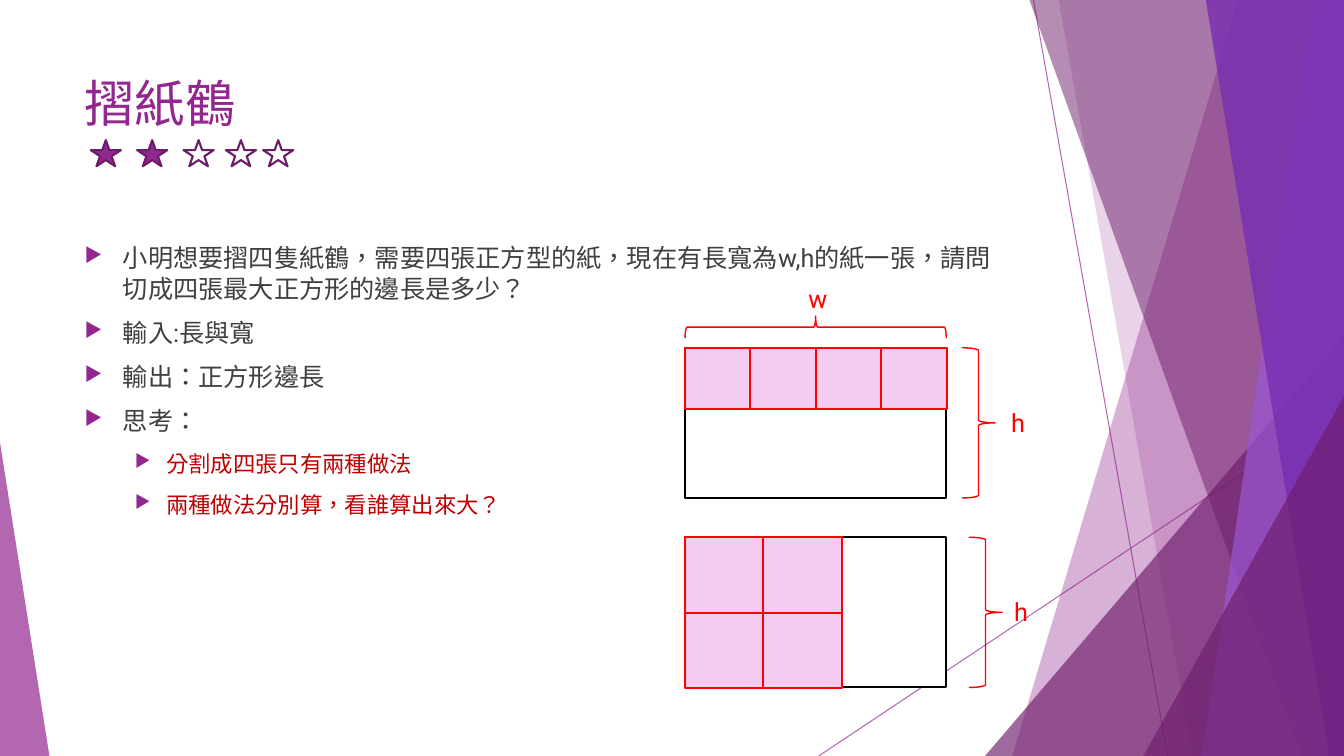
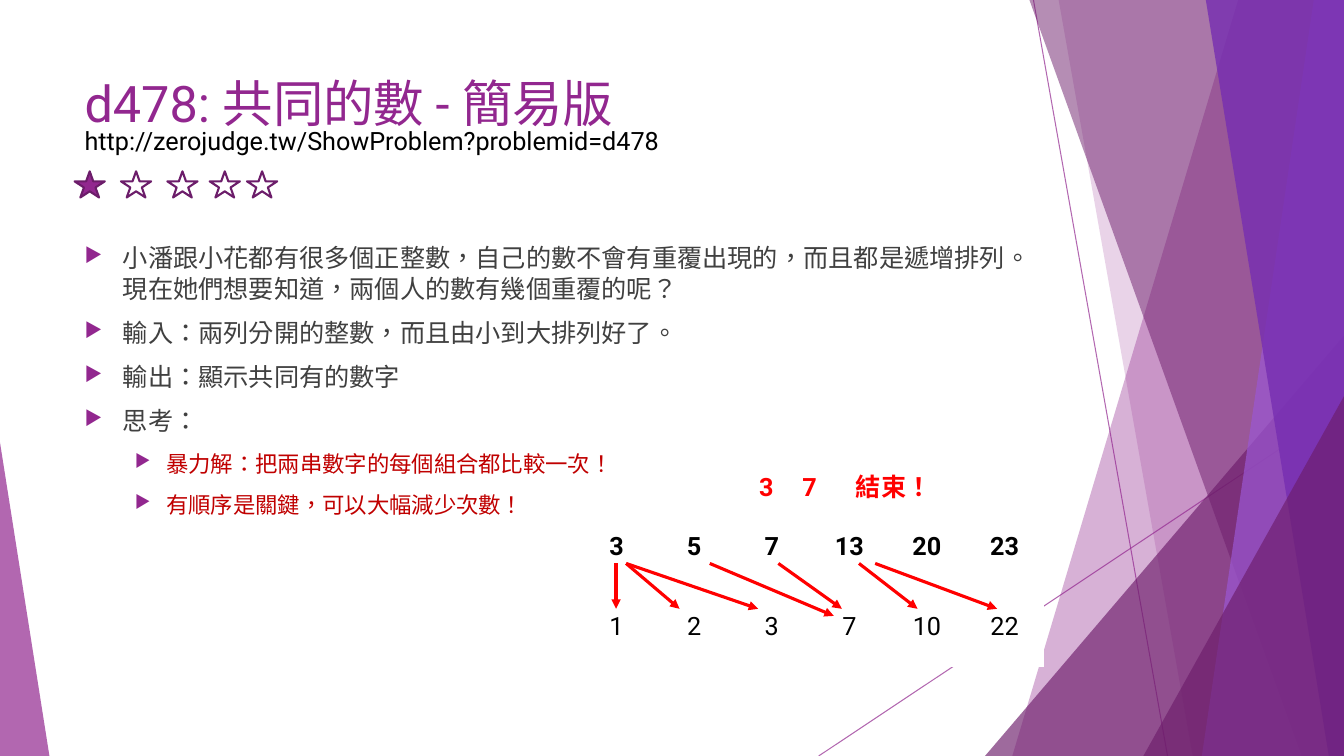
import pptx
import pptx.dml.color
import pptx.enum.lang
import pptx.enum.shapes
import pptx.enum.text
import pptx.oxml
import pptx.oxml.ns
import pptx.util
from pptx.util import Inches

SHAPE = pptx.enum.shapes.MSO_SHAPE
CENTER = pptx.enum.text.PP_ALIGN.CENTER
MIDDLE = pptx.enum.text.MSO_ANCHOR.MIDDLE
CHINESE = pptx.enum.lang.MSO_LANGUAGE_ID.TRADITIONAL_CHINESE
FONT = "Roboto"
PURPLE, DARK, EDGE = "92278F", "6D1D6B", "6C1D6A"
VIOLET, INDIGO, PINK = "9B57D3", "762EB1", "F1CCF0"
RED, CRIMSON, GRAY = "FF0000", "C00000", "404040"
BLACK, WHITE = "000000", "FFFFFF"
WIDTH, HEIGHT = 13.33, 7.5
LEFT, CONTENT_WIDTH = 0.74, 9.4
STAR_OFFSETS = (0, 0.46, 0.92, 1.34, 1.71)


def color(value):
    return pptx.dml.color.RGBColor.from_string(value)


def add_xml(parent, tag, **attributes):
    el = pptx.oxml.parse_xml(f"<a:{tag} {pptx.oxml.ns.nsdecls('a')}/>")
    for name, value in attributes.items():
        el.set(name, str(value))
    parent.append(el)
    return el


def set_alpha(shape, percent):
    for clr in shape._element.spPr.iter(pptx.oxml.ns.qn("a:srgbClr")):
        add_xml(clr, "alpha", val=percent * 1000)


def style_shape(shape, fill=None, line=None, width=1.5):
    shape.shadow.inherit = False
    if fill:
        shape.fill.solid()
        shape.fill.fore_color.rgb = color(fill)
    else:
        shape.fill.background()
    if line:
        shape.line.color.rgb = color(line)
        shape.line.width = pptx.util.Pt(width)
    else:
        shape.line.fill.background()


def add_shape(s, kind, x, y, w, h, **style):
    sp = s.shapes.add_shape(kind, Inches(x), Inches(y), Inches(w), Inches(h))
    style_shape(sp, **style)
    return sp


def add_line(s, start, end, line, width, arrow=False):
    points = [Inches(v) for v in (*start, *end)]
    cx = s.shapes.add_connector(pptx.enum.shapes.MSO_CONNECTOR.STRAIGHT, *points)
    cx.line.color.rgb = color(line)
    cx.line.width = pptx.util.Pt(width)
    if arrow:
        add_xml(cx.line._get_or_add_ln(), "tailEnd", type="triangle")
    add_xml(cx._element.spPr, "effectLst")
    return cx


def add_run(p, text, size, fill, bold=False):
    r = p.add_run()
    r.text = text
    r.font.name = FONT
    r.font.size = pptx.util.Pt(size)
    r.font.bold = bold
    r.font.color.rgb = color(fill)
    r.font.language_id = CHINESE


def add_box(s, x, y, w, h, wrap=True):
    tf = s.shapes.add_textbox(Inches(x), Inches(y), Inches(w), Inches(h)).text_frame
    tf.word_wrap = wrap
    return tf


def add_label(s, text, x, y, w, fill=RED, bold=False):
    tf = add_box(s, x, y, w, 0.4, wrap=False)
    add_run(tf.paragraphs[0], text, 18, fill, bold)


def add_bullet(p, level):
    margin, hanging = ((0.38, 0.38), (0.81, 0.31))[level]
    pPr = p._p.get_or_add_pPr()
    pPr.set("marL", str(Inches(margin)))
    pPr.set("indent", str(-Inches(hanging)))
    add_xml(add_xml(pPr, "buClr"), "srgbClr", val=PURPLE)
    add_xml(pPr, "buSzPct", val=80000)
    add_xml(pPr, "buChar", char="▶")
    p.level = level


def add_body(s, items):
    tf = add_box(s, LEFT, 2.36, CONTENT_WIDTH, 4.24)
    for i, (level, text) in enumerate(items):
        p = tf.add_paragraph() if i else tf.paragraphs[0]
        add_bullet(p, level)
        if i:
            p.space_before = pptx.util.Pt(10)
        add_run(p, text, (18, 16)[level], (GRAY, CRIMSON)[level])


def add_facet(s, top, bottom, fill, alpha):
    points = [(Inches(x), Inches(y)) for x, y in
              ((top, 0), (WIDTH, 0), (WIDTH, HEIGHT), (bottom, HEIGHT))]
    fb = s.shapes.build_freeform(*points[0])
    fb.add_line_segments(points[1:])
    sp = fb.convert_to_shape()
    style_shape(sp, fill)
    set_alpha(sp, alpha)


def add_corner(s, x, y, w, apex, fill, alpha):
    sp = add_shape(s, SHAPE.ISOSCELES_TRIANGLE, x, y, w, HEIGHT - y, fill=fill)
    sp.adjustments[0] = apex
    set_alpha(sp, alpha)


def add_background(s):
    for start, end in (((10.25, 0), (11.58, HEIGHT)), ((WIDTH, 4.03), (8.12, HEIGHT))):
        set_alpha(add_line(s, start, end, PURPLE, 0.75), 70)
    add_facet(s, 12.28, 10.04, PURPLE, 36)
    add_facet(s, 10.5, 11.83, PURPLE, 20)
    add_corner(s, 9.77, 3.33, 3.56, 1, DARK, 66)
    add_facet(s, 10.21, 12.91, DARK, 50)
    add_facet(s, 13.03, 11.92, VIOLET, 70)
    add_facet(s, 11.96, 13.18, INDIGO, 80)
    add_corner(s, 11.34, 3.93, 1.99, 1, DARK, 66)
    add_corner(s, 0, 4.39, 0.49, 0, PURPLE, 70)


def add_slide(prs, title, items):
    s = prs.slides.add_slide(prs.slide_layouts[6])
    add_background(s)
    tf = add_box(s, LEFT, 0.67, CONTENT_WIDTH, 1.44)
    add_run(tf.paragraphs[0], title, 36, PURPLE)
    add_body(s, items)
    return s


def add_rating(s, x, y, score):
    for i, offset in enumerate(STAR_OFFSETS):
        add_shape(s, SHAPE.STAR_5_POINT, x + offset, y, 0.3, 0.26,
                  fill=PURPLE if i < score else None, line=EDGE)


def add_paper(s, y, columns, rows, w, h):
    x = 6.79
    add_shape(s, SHAPE.RECTANGLE, x, y, 2.59, 1.49, fill=WHITE, line=BLACK)
    for column in range(columns):
        for row in range(rows):
            add_shape(s, SHAPE.RECTANGLE, x + column * w, y + row * h, w, h,
                      fill=PINK, line=RED)


def add_brace(s, x, y, w, h, rotation=0):
    sp = add_shape(s, SHAPE.RIGHT_BRACE, x, y, w, h, line=RED, width=1)
    sp.rotation = rotation


def add_number_table(s, rows):
    tbl = s.shapes.add_table(len(rows), len(rows[0]), Inches(5.73), Inches(5.03),
                             Inches(4.62), Inches(1.58)).table
    tbl.first_row = tbl.horz_banding = False
    for i, row in enumerate(rows):
        for j, number in enumerate(row):
            cell = tbl.cell(i, j)
            cell.fill.solid()
            cell.fill.fore_color.rgb = color(WHITE)
            cell.vertical_anchor = MIDDLE
            p = cell.text_frame.paragraphs[0]
            p.alignment = CENTER
            add_run(p, str(number), 18, BLACK, bold=i == 0)


def add_crane_slide(prs):
    s = add_slide(prs, "摺紙鶴", (
        (0, "小明想要摺四隻紙鶴，需要四張正方型的紙，現在有長寬為w,h的紙一張，"
            "請問切成四張最大正方形的邊長是多少？"),
        (0, "輸入:長與寬"),
        (0, "輸出：正方形邊長"),
        (0, "思考："),
        (1, "分割成四張只有兩種做法"),
        (1, "兩種做法分別算，看誰算出來大？")))
    add_paper(s, 3.45, 4, 1, 0.65, 0.61)
    add_paper(s, 5.33, 2, 2, 0.78, 0.75)
    add_brace(s, 9.54, 3.45, 0.33, 1.49)
    add_label(s, "h", 9.93, 3.99, 0.34)
    add_brace(s, 9.61, 5.33, 0.33, 1.49)
    add_label(s, "h", 9.96, 5.87, 0.34)
    add_brace(s, 7.98, 1.95, 0.22, 2.59, rotation=270)
    add_label(s, "w", 7.92, 2.76, 0.39)
    add_rating(s, 0.9, 1.39, 2)


def add_common_numbers_slide(prs):
    s = add_slide(prs, "d478: 共同的數 - 簡易版", (
        (0, "小潘跟小花都有很多個正整數，自己的數不會有重覆出現的，而且都是遞增排列。"
            "現在她們想要知道，兩個人的數有幾個重覆的呢？"),
        (0, "輸入：兩列分開的整數，而且由小到大排列好了。"),
        (0, "輸出：顯示共同有的數字"),
        (0, "思考："),
        (1, "暴力解：把兩串數字的每個組合都比較一次！"),
        (1, "有順序是關鍵，可以大幅減少次數！")))
    add_label(s, "http://zerojudge.tw/ShowProblem?problemid=d478", LEFT, 1.19, 6.1, BLACK)
    add_number_table(s, ((3, 5, 7, 13, 20, 23), (1, 2, 3, 7, 10, 22)))
    for x1, x2, y2 in ((6.11, 6.11, 6.04), (6.21, 6.74, 6.04), (6.21, 7.52, 6.04),
                       (7.04, 8.27, 6.11), (7.72, 8.35, 6.04), (8.52, 9.1, 6.04),
                       (8.68, 9.89, 6.04)):
        add_line(s, (x1, 5.59), (x2, y2), RED, 2.25, arrow=True)
    for text, x, w in (("3", 7.43, 0.35), ("7", 7.86, 0.35), ("結束！", 8.39, 0.96)):
        add_label(s, text, x, 4.63, w, bold=True)
    add_rating(s, LEFT, 1.7, 1)


def main():
    prs = pptx.Presentation()
    prs.slide_width, prs.slide_height = Inches(WIDTH), Inches(HEIGHT)
    add_crane_slide(prs)
    add_common_numbers_slide(prs)
    prs.save("out.pptx")


if __name__ == "__main__":
    main()
